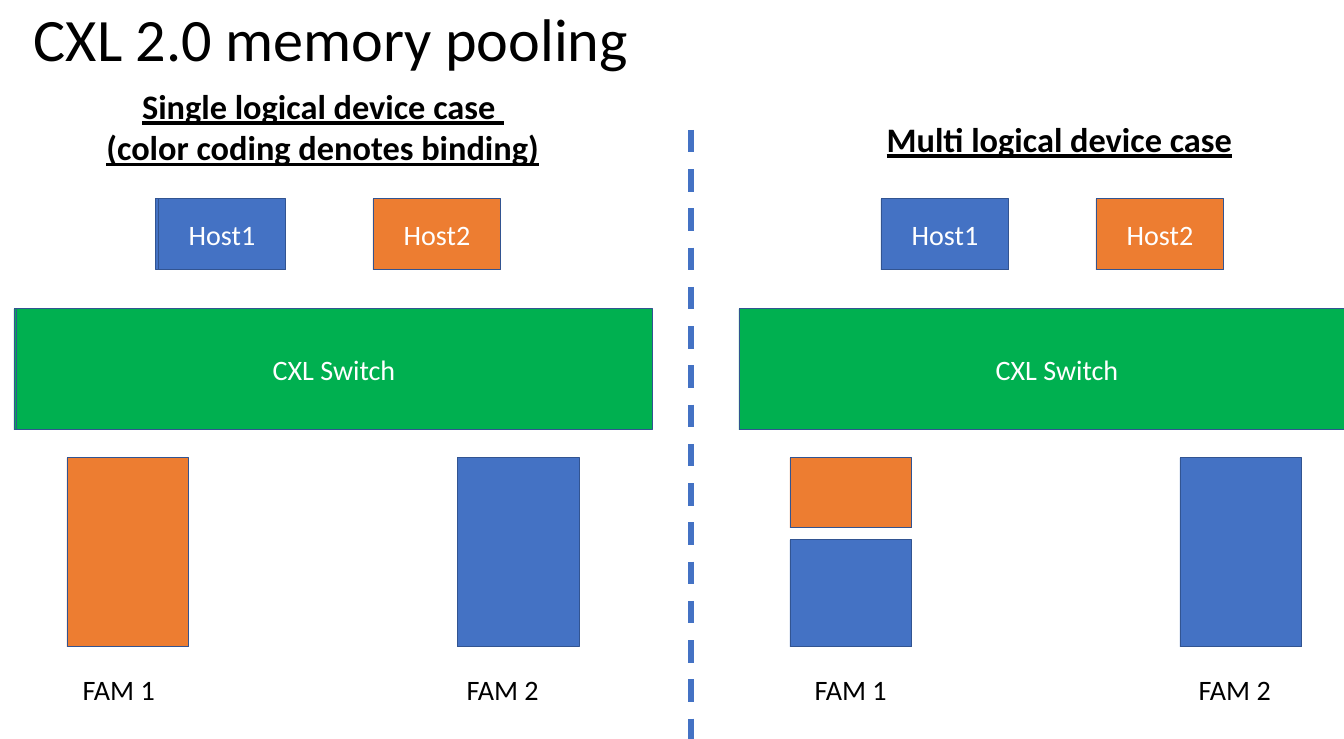
from dataclasses import dataclass

from lxml import etree
from pptx import Presentation
from pptx.dml.color import RGBColor
from pptx.enum.dml import MSO_LINE
from pptx.enum.shapes import MSO_CONNECTOR, MSO_SHAPE
from pptx.enum.text import MSO_ANCHOR, MSO_AUTO_SIZE, PP_ALIGN
from pptx.oxml.ns import qn
from pptx.util import Inches, Pt

RECT, STRAIGHT, DASH = MSO_SHAPE.RECTANGLE, MSO_CONNECTOR.STRAIGHT, MSO_LINE.DASH
LEFT, CENTER = PP_ALIGN.LEFT, PP_ALIGN.CENTER
TOP, MIDDLE, NO_FIT = MSO_ANCHOR.TOP, MSO_ANCHOR.MIDDLE, MSO_AUTO_SIZE.NONE


@dataclass(frozen=True)
class Theme:
    """Colours and type sizes of the slide."""
    font: str = "Calibri"
    black: str = "000000"
    white: str = "FFFFFF"
    blue: str = "4472C4"
    orange: str = "ED7D31"
    green: str = "00B050"
    outline: str = "325491"
    title: float = 64.5
    heading: float = 36.8
    body: float = 30.1


T = Theme()
PX = Inches(1) / 67.2

TITLE = "CXL 2.0 memory pooling"
TITLE_AT = (27, -7, 1291, 99)
DIVIDER = (691, 130, 739)
PANEL_STEP = 723

# Sizes are in pixels; x positions are relative to the panel.
HOST_Y, HOST_SIZE = 199, (128, 71)
SWITCH_Y, SWITCH_SIZE = 309, (636, 121)
FAM_WIDTH = 122
LABEL_Y, LABEL_SIZE = 669, (119, 42)
HOSTS = [("Host1", 158, T.blue), ("Host2", 373, T.orange)]
SWITCH = ("CXL Switch", 16)
FAM_XS = (67, 457)
FAM_LABELS = [("FAM 1", 76), ("FAM 2", 460)]
WHOLE, UPPER, LOWER = (458, 189), (458, 70), (540, 107)

PANELS = [
    {"heading": ["Single logical device case ", "(color coding denotes binding)"],
     "heading_at": (77, 82, 492, 92), "align": CENTER, "label_shift": 0,
     "back_edge": 2,
     "fams": [[(WHOLE, T.orange)], [(WHOLE, T.blue)]]},
    {"heading": ["Multi logical device case"],
     "heading_at": (880, 115, 381, 50), "align": LEFT, "label_shift": 9,
     "back_edge": 0,
     "fams": [[(UPPER, T.orange), (LOWER, T.blue)], [(WHOLE, T.blue)]]},
]


def emu(*pixels):
    """Turn pixels into EMU."""
    return [round(v * PX) for v in pixels]


def rgb(value):
    """Return a colour object for a hex string."""
    return RGBColor.from_string(value)


def write(tf, lines, size=T.body, color=T.black, align=LEFT, anchor=TOP,
          bold=False, underline=False, spacing=None):
    """Fill a text frame with one formatted paragraph per line."""
    tf.word_wrap = True
    tf.auto_size = NO_FIT
    tf.vertical_anchor = anchor
    for i, line in enumerate(lines):
        p = tf.add_paragraph() if i else tf.paragraphs[0]
        p.alignment = align
        p.line_spacing = spacing
        r = p.add_run()
        r.text = line
        r.font.name, r.font.size = T.font, Pt(size)
        r.font.bold, r.font.underline = bold, underline
        r.font.color.rgb = rgb(color)


def add_box(s, x, y, w, h, fill, text=None):
    """Add an outlined rectangle, with centred white text if given."""
    sp = s.shapes.add_shape(RECT, *emu(x, y, w, h))
    sp.shadow.inherit = False
    sp.fill.solid()
    sp.fill.fore_color.rgb = rgb(fill)
    sp.line.color.rgb = rgb(T.outline)
    sp.line.width = Pt(1)
    if text:
        write(sp.text_frame, [text], color=T.white, align=CENTER, anchor=MIDDLE)


def add_label(s, box, lines, **style):
    """Add a text box."""
    write(s.shapes.add_textbox(*emu(*box)).text_frame, lines, **style)


def add_divider(s, x, top, bottom):
    """Add the dashed line between the panels."""
    line = s.shapes.add_connector(STRAIGHT, *emu(x, top, x, bottom))
    line.line.color.rgb = rgb(T.blue)
    line.line.width = Pt(6)
    line.line.dash_style = DASH
    etree.SubElement(line._element.spPr, qn("a:effectLst"))


def add_panel(s, left, panel):
    """Add the heading, hosts, switch and memory devices of one case."""
    add_label(s, panel["heading_at"], panel["heading"], size=T.heading,
              align=panel["align"], bold=True, underline=True)
    boxes = [(x, HOST_Y, HOST_SIZE, color, name) for name, x, color in HOSTS]
    boxes.append((SWITCH[1], SWITCH_Y, SWITCH_SIZE, T.green, SWITCH[0]))
    edge = panel["back_edge"]
    for x, y, size, color, name in boxes:
        if edge and name != "Host2":
            add_box(s, left + x - edge, y, *size, color)
        add_box(s, left + x, y, *size, color, name)
    for x, parts in zip(FAM_XS, panel["fams"]):
        for (y, height), color in parts:
            add_box(s, left + x, y, FAM_WIDTH, height, color)
    for name, x in FAM_LABELS:
        add_label(s, (left + x + panel["label_shift"], LABEL_Y, *LABEL_SIZE), [name])


prs = Presentation()
prs.slide_width, prs.slide_height = Inches(20), Inches(11)
s = prs.slides.add_slide(prs.slide_layouts[5])
title = s.shapes.title
title.left, title.top, title.width, title.height = emu(*TITLE_AT)
write(title.text_frame, [TITLE], size=T.title, anchor=MIDDLE, spacing=0.9)
for i, panel in enumerate(PANELS):
    add_panel(s, i * PANEL_STEP, panel)
add_divider(s, *DIVIDER)
prs.save("out.pptx")
